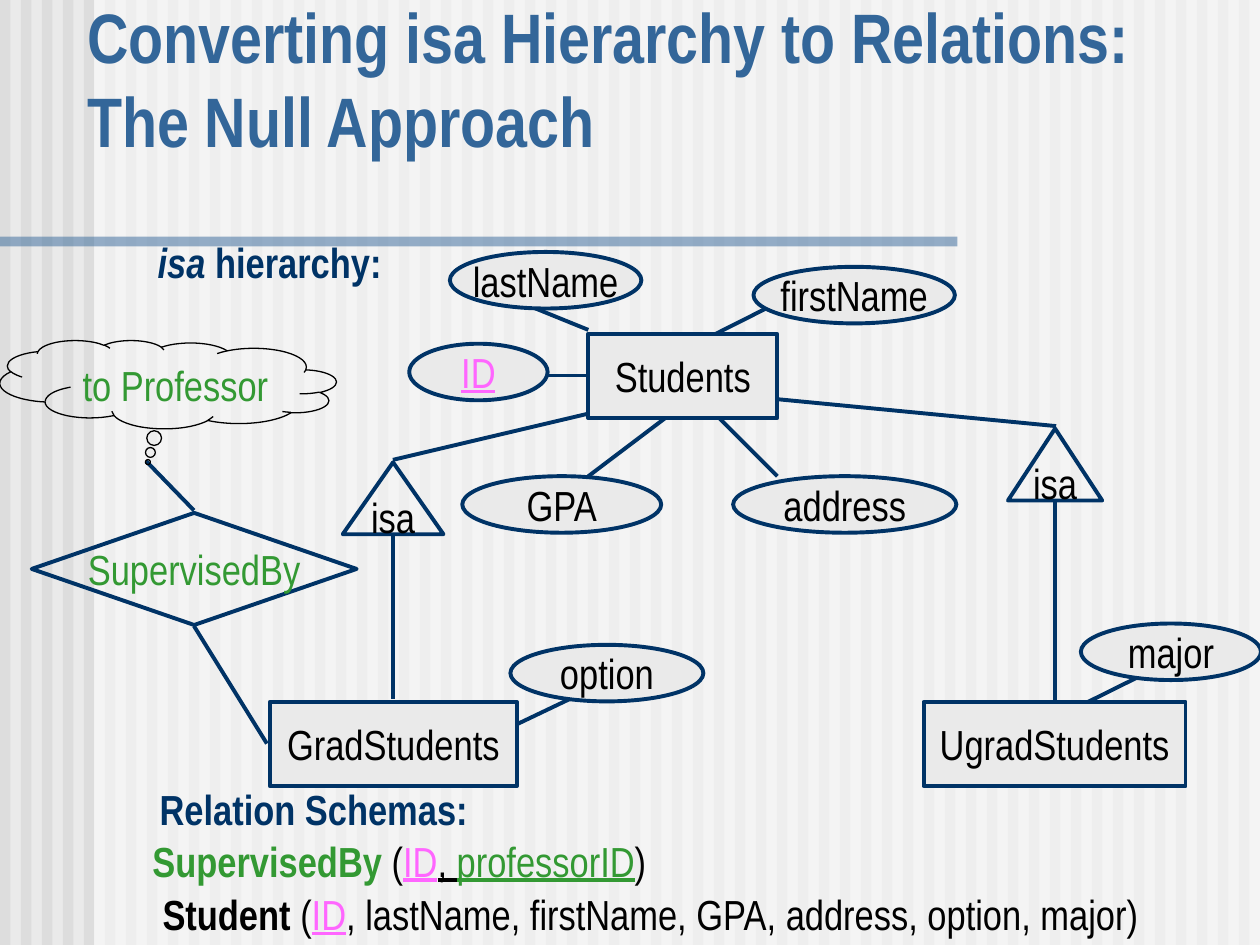
import copy

import lxml.etree
import pptx
import pptx.dml.color
import pptx.enum.shapes
import pptx.enum.text
import pptx.oxml.ns
import pptx.util

Cm = pptx.util.Cm
Pt = pptx.util.Pt
qn = pptx.oxml.ns.qn
MSO = pptx.enum.shapes.MSO_SHAPE
ALIGN = pptx.enum.text.PP_ALIGN
ANCHOR = pptx.enum.text.MSO_ANCHOR
rgb = pptx.dml.color.RGBColor.from_string

NAVY, BLUE, GREEN, PINK, BLACK, GREY = "003366", "336699", "339933", "FF66FF", "000000", "EAEAEA"


def write(tf, runs, align=ALIGN.CENTER, wrap=False, anchor=ANCHOR.MIDDLE):
    for k, v in {"word_wrap": wrap, "vertical_anchor": anchor,
                 "auto_size": pptx.enum.text.MSO_AUTO_SIZE.NONE}.items():
        setattr(tf, k, v)
    p = tf.paragraphs[0]
    p.alignment = align
    for text, color, fmt in runs:
        for i, part in enumerate(text.split("\n")):
            if i:
                p.add_line_break()
                p._p[-1].append(copy.deepcopy(r._r.rPr))
            r = p.add_run()
            r.text = part
            for k, v in {"name": "Arial Narrow", "size": Pt(24), **fmt}.items():
                setattr(r.font, k, v)
            r.font.color.rgb = rgb(color)


def shape(kind, box, fill=None, line=None, width=2.25, alpha=None):
    sp = s.shapes.add_shape(kind, *[Cm(v) for v in box])
    sp.shadow.inherit = False
    if fill:
        sp.fill.solid()
        sp.fill.fore_color.rgb = rgb(fill)
    else:
        sp.fill.background()
    if line:
        sp.line.color.rgb = rgb(line)
        sp.line.width = Pt(width)
    else:
        sp.line.fill.background()
    if alpha:
        clr = sp._element.spPr.find(qn("a:solidFill")).find(qn("a:srgbClr"))
        lxml.etree.SubElement(clr, qn("a:alpha")).set("val", str(alpha * 1000))
    return sp


prs = pptx.Presentation()
prs.slide_width, prs.slide_height = Cm(25.4), Cm(19.05)
s = prs.slides.add_slide(prs.slide_layouts[5])
s.background.fill.solid()
s.background.fill.fore_color.rgb = rgb(GREY)

for i in range(60):
    shape(MSO.RECTANGLE, (i * 25.4 / 60, 0, 0.21, 19.05), "DDDDDD")
shape(MSO.RECTANGLE, (1.9, 0, 23.5, 19.05), "FFFFFF", alpha=50)
shape(MSO.RECTANGLE, (0, 4.77, 19.3, 0.2), BLUE, alpha=50)

title = s.shapes.title
for k, v in {"left": 1.5, "top": -0.25, "width": 23.6, "height": 3.63}.items():
    setattr(title, k, Cm(v))
write(title.text_frame,
      [("Converting isa Hierarchy to Relations:\nThe Null Approach", BLUE, {"size": Pt(40), "bold": True})],
      ALIGN.LEFT, True, ANCHOR.BOTTOM)
s.shapes._spTree.append(title._element)

bold, under = {"bold": True}, {"underline": True}
captions = [
    ((2.92, 4.65, 5.03), [("isa", NAVY, {"bold": True, "italic": True}), (" hierarchy:", NAVY, bold)]),
    ((2.97, 15.67, 6.71), [("Relation Schemas:", NAVY, bold)]),
    ((3, 17.78, 20.22), [("Student ", BLACK, bold), ("(", BLACK, {}), ("ID", PINK, under),
                         (", lastName, firstName, GPA, address, option, major)", BLACK, {})]),
    ((2.74, 16.71, 10.62), [("SupervisedBy ", GREEN, bold), ("(", BLACK, {}), ("ID", PINK, under),
                            (", ", BLACK, under), ("professorID", GREEN, under), (")", BLACK, {})]),
]
for box, runs in captions:
    tb = s.shapes.add_textbox(*[Cm(v) for v in (*box, 1.27)])
    write(tb.text_frame, runs, anchor=ANCHOR.TOP)

links = [
    (11.53, 14.07, 10.19, 14.71),
    (13.08, 8.05, 7.92, 9.27),
    (7.92, 10.8, 7.92, 14.1),
    (5.38, 14.99, 3.91, 12.62),
    (3.91, 10.29, 2.95, 9.3),
    (22.96, 13.64, 21.69, 14.27),
    (15.7, 8.05, 21.29, 8.59),
    (21.27, 10.11, 21.27, 14.12),
    (11.86, 9.6, 13.54, 8.33),
    (15.67, 9.6, 14.4, 8.33),
    (11, 7.57, 11.86, 7.57),
    (15.44, 6.22, 14.17, 6.86),
    (10.8, 6.22, 11.86, 6.65),
]
for ends in links:
    c = s.shapes.add_connector(pptx.enum.shapes.MSO_CONNECTOR.STRAIGHT, *[Cm(v) for v in ends])
    c.line.color.rgb = rgb(NAVY)
    c.line.width = Pt(2.25)
    lxml.etree.SubElement(c._element.spPr, qn("a:effectLst"))

cloud = shape(MSO.CLOUD_CALLOUT, (0, 6.86, 6.78, 1.78), None, BLACK, 0.75)
cloud.adjustments[0], cloud.adjustments[1] = 0.06, 0.88
cloud._element.spPr.find(qn("a:xfrm")).set("flipH", "1")
write(cloud.text_frame, [("to Professor", GREEN, {})], ALIGN.LEFT, True, ANCHOR.TOP)

kinds = {
    "entity": (MSO.RECTANGLE, 1.7, GREY),
    "attribute": (MSO.OVAL, 1.14, GREY),
    "isa": (MSO.ISOSCELES_TRIANGLE, 1.45, None),
    "relationship": (MSO.DIAMOND, 2.26, None),
}
nodes = [
    ("relationship", "SupervisedBy", 0.64, 10.34, 6.55, GREEN, {}),
    ("isa", "isa", 6.91, 9.32, 2.03, BLACK, {}),
    ("isa", "isa", 20.32, 8.64, 1.9, BLACK, {}),
    ("entity", "Students", 11.86, 6.73, 3.81, BLACK, {}),
    ("entity", "GradStudents", 5.44, 14.15, 4.98, BLACK, {}),
    ("entity", "UgradStudents", 18.62, 14.15, 5.28, BLACK, {}),
    ("attribute", "lastName", 9.07, 5.08, 3.86, BLACK, {}),
    ("attribute", "firstName", 15.19, 5.38, 4.06, BLACK, {}),
    ("attribute", "ID", 8.25, 6.93, 2.79, PINK, under),
    ("attribute", "GPA", 9.32, 9.6, 4.01, BLACK, {}),
    ("attribute", "address", 14.78, 9.6, 4.5, BLACK, {}),
    ("attribute", "option", 10.29, 13, 3.89, BLACK, {}),
    ("attribute", "major", 21.79, 12.57, 3.63, BLACK, {}),
]
for kind, text, x, y, w, color, fmt in nodes:
    preset, h, fill = kinds[kind]
    sp = shape(preset, (x, y, w, h), fill, NAVY)
    write(sp.text_frame, [(text, color, fmt)])

prs.save("out.pptx")
